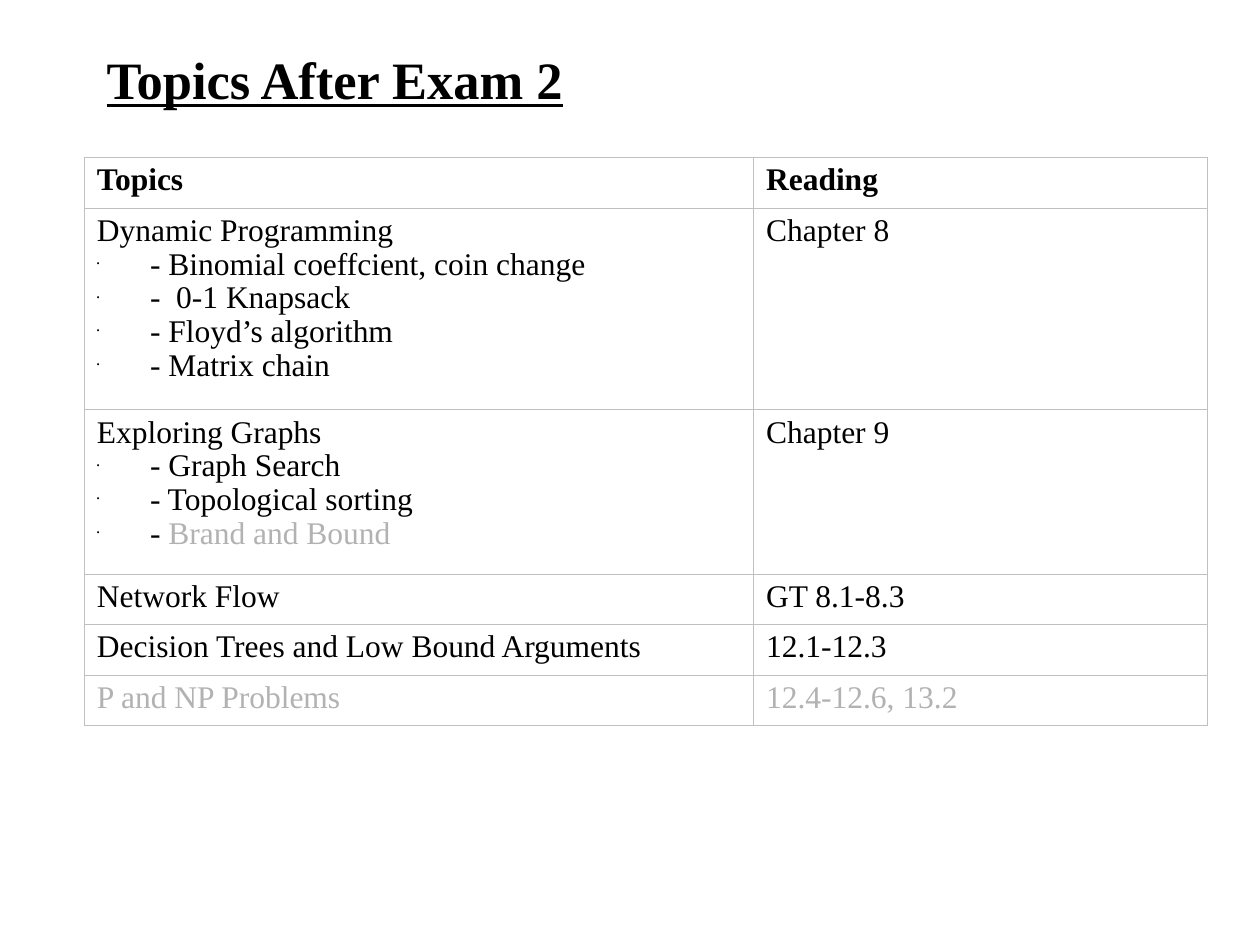
from lxml import etree
from pptx import Presentation
from pptx import util as u
from pptx.dml.color import RGBColor
from pptx.enum import text
from pptx.oxml.ns import qn

COLORS = {"ink": "000000", "muted": "B2B2B2", "border": "C0C0C0"}


class SlideBuilder:
    font = "Times New Roman"
    body_size = 18
    title_size = 30
    line_spacing = 0.97
    bullet_indent = u.Cm(1.07)
    outer_line = u.Pt(0.96)
    inner_line = u.Pt(0.45)

    def __init__(self, slide):
        self.slide = slide

    def add_run(self, paragraph, words, size, color="ink", bold=False, underline=False):
        run = paragraph.add_run()
        run.text = words
        run.font.name = self.font
        run.font.size = u.Pt(size)
        run.font.bold = bold
        run.font.underline = underline
        run.font.color.rgb = RGBColor.from_string(COLORS[color])

    def add_title(self, words, left, top, width, height):
        shape = self.slide.shapes.add_textbox(left, top, width, height)
        frame = shape.text_frame
        frame.word_wrap = True
        frame.vertical_anchor = text.MSO_ANCHOR.MIDDLE
        self.add_run(frame.paragraphs[0], words, self.title_size, bold=True, underline=True)

    def add_bullet(self, paragraph):
        properties = paragraph._p.get_or_add_pPr()
        properties.set("marL", str(self.bullet_indent))
        properties.set("indent", str(-self.bullet_indent))
        color = etree.SubElement(properties, qn("a:buClr"))
        etree.SubElement(color, qn("a:srgbClr"), val=COLORS["ink"])
        etree.SubElement(properties, qn("a:buSzPct"), val="25000")
        etree.SubElement(properties, qn("a:buChar"), char="•")

    def add_borders(self, cell, outer_sides):
        properties = cell._tc.get_or_add_tcPr()
        for index, side in enumerate("LRTB"):
            width = self.outer_line if side in outer_sides else self.inner_line
            line = etree.Element(qn(f"a:ln{side}"), w=str(width))
            fill = etree.SubElement(line, qn("a:solidFill"))
            etree.SubElement(fill, qn("a:srgbClr"), val=COLORS["border"])
            properties.insert(index, line)

    def fill_cell(self, cell, lines, bold):
        """The first line is the heading; the lines after it are bulleted."""
        cell.fill.background()
        for index, runs in enumerate(lines):
            frame = cell.text_frame
            paragraph = frame.add_paragraph() if index else frame.paragraphs[0]
            paragraph.line_spacing = self.line_spacing
            if index:
                self.add_bullet(paragraph)
            for words, color in runs:
                self.add_run(paragraph, words, self.body_size, color, bold)

    def add_table(self, rows, left, top, column_widths, row_heights):
        last_row, last_column = len(rows) - 1, len(column_widths) - 1
        table = self.slide.shapes.add_table(
            len(rows), len(column_widths), left, top,
            sum(column_widths), sum(row_heights)).table
        table.first_row = table.horz_banding = False
        for column, width in zip(table.columns, column_widths):
            column.width = width
        for r, (row, height) in enumerate(zip(rows, row_heights)):
            table.rows[r].height = height
            for c, lines in enumerate(row):
                cell = table.cell(r, c)
                self.fill_cell(cell, lines, bold=r == 0)
                edges = {"L": c == 0, "R": c == last_column,
                         "T": r == 0, "B": r == last_row}
                self.add_borders(cell, [side for side, outer in edges.items() if outer])


def plain(*lines, color="ink"):
    return [[(line, color)] for line in lines]


def main():
    presentation = Presentation()
    presentation.slide_width, presentation.slide_height = u.Cm(25.4), u.Cm(19.05)
    slide = presentation.slides.add_slide(presentation.slide_layouts[6])
    builder = SlideBuilder(slide)

    # Title
    builder.add_title("Topics After Exam 2", u.Cm(1.9), u.Cm(0.85), u.Cm(17.15), u.Cm(1.48))

    # Topics and their reading
    rows = [
        (plain("Topics"), plain("Reading")),
        (plain("Dynamic Programming", "- Binomial coeffcient, coin change",
               "-  0-1 Knapsack", "- Floyd’s algorithm", "- Matrix chain"),
         plain("Chapter 8")),
        (plain("Exploring Graphs", "- Graph Search", "- Topological sorting")
         + [[("- ", "ink"), ("Brand and Bound", "muted")]],
         plain("Chapter 9")),
        (plain("Network Flow"), plain("GT 8.1-8.3")),
        (plain("Decision Trees and Low Bound Arguments"), plain("12.1-12.3")),
        (plain("P and NP Problems", color="muted"), plain("12.4-12.6, 13.2", color="muted")),
    ]
    single = u.Cm(1.02)
    builder.add_table(rows, u.Cm(1.7), u.Cm(3.17), [u.Cm(13.49), u.Cm(9.15)],
                      [single, u.Cm(4.07), u.Cm(3.31), single, single, single])

    presentation.save("out.pptx")


if __name__ == "__main__":
    main()
